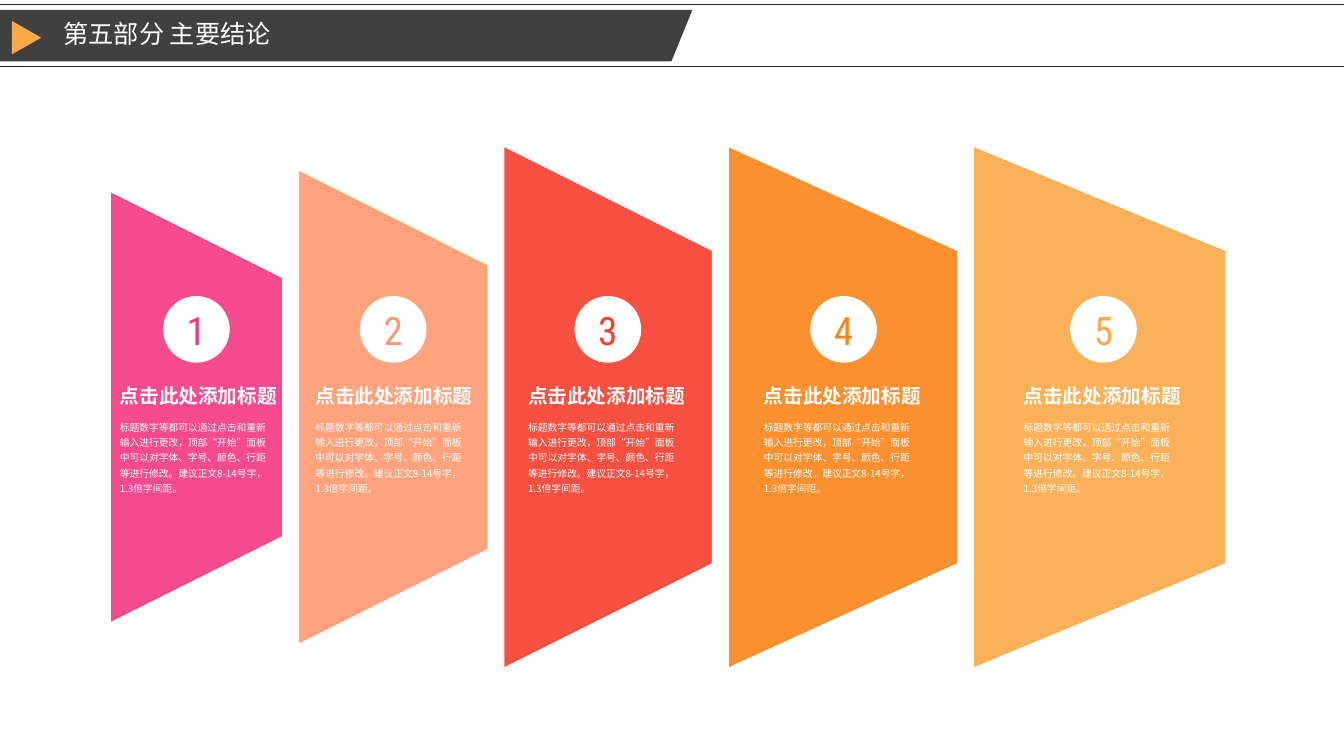
"""Build the conclusions slide with five numbered trapezoid panels."""
import dataclasses
import typing

import lxml.etree
import pptx
import pptx.dml.color
import pptx.enum.lang
import pptx.enum.shapes
import pptx.enum.text
import pptx.oxml.ns
import pptx.util

Cm = pptx.util.Cm
Shapes = pptx.enum.shapes.MSO_SHAPE
Align = pptx.enum.text.PP_ALIGN
Anchor = pptx.enum.text.MSO_ANCHOR

COLORS = {
    "pink": "F43781",
    "peach": "FF9972",
    "red": "F53E2E",
    "orange": "FB851B",
    "amber": "FAA949",
    "bar": "404040",
    "rule": "262626",
    "white": "FFFFFF",
}
LATIN_FONT = "Roboto Condensed"
CHINESE_FONT = "Noto Sans CJK SC"
HEADING = "点击此处添加标题"
BODY = (
    "标题数字等都可以通过点击和重新输入进行更改，顶部“开始”面板中可以对字体、字号、"
    "颜色、行距等进行修改。建议正文8-14号字，1.3倍字间距。"
)
SLIDE_WIDTH, SLIDE_HEIGHT = 33.87, 19.05
FIRST_LEFT, FIRST_WIDTH, FIRST_HEIGHT = 2.78, 4.35, 10.88
GROWTH, TALLEST, PANEL_GAP = 1.1, 13.16, 0.39
SHORT_SIDE_RATIO = 0.6
PANEL_MIDDLE, BADGE_MIDDLE, BADGE_SIZE = 10.26, 8.3, 1.68


@dataclasses.dataclass(frozen=True)
class Panel:
    color: str
    badge_center: float
    text_left: float


PANELS = [
    Panel("pink", 4.95, 2.77),
    Panel("peach", 9.91, 7.7),
    Panel("red", 15.32, 13.06),
    Panel("orange", 21.26, 19.0),
    Panel("amber", 27.81, 25.55),
]


def rgb(color: str) -> pptx.dml.color.RGBColor:
    return pptx.dml.color.RGBColor.from_string(COLORS[color])


def paint(shape: typing.Any, color: str) -> None:
    shape.shadow.inherit = False
    shape.fill.solid()
    shape.fill.fore_color.rgb = rgb(color)
    shape.line.fill.background()


def write(shape: typing.Any, text: str, *, size: float, color: str = "white",
          font: str = LATIN_FONT, bold: bool = False, spacing: float = 1.0,
          align: Align = Align.LEFT, anchor: Anchor = Anchor.TOP) -> None:
    frame = shape.text_frame
    frame.word_wrap = True
    frame.vertical_anchor = anchor
    para = frame.paragraphs[0]
    para.alignment = align
    para.line_spacing = spacing
    span = para.add_run()
    span.text = text
    span.font.size = pptx.util.Pt(size)
    span.font.bold = bold
    span.font.name = font
    span.font.color.rgb = rgb(color)
    span.font.language_id = pptx.enum.lang.MSO_LANGUAGE_ID.SIMPLIFIED_CHINESE
    properties = span.font._element
    lxml.etree.SubElement(properties, pptx.oxml.ns.qn("a:ea"), typeface=CHINESE_FONT)


def add_text(page: typing.Any, left: float, top: float, width: float, height: float,
             text: str, **style: typing.Any) -> None:
    box = page.shapes.add_textbox(Cm(left), Cm(top), Cm(width), Cm(height))
    write(box, text, **style)


def add_polygon(page: typing.Any, points: list[tuple[float, float]], color: str) -> typing.Any:
    corners = [(Cm(x), Cm(y)) for x, y in points]
    builder = page.shapes.build_freeform(*corners[0])
    builder.add_line_segments(corners[1:], close=True)
    polygon = builder.convert_to_shape()
    paint(polygon, color)
    return polygon


def add_rule(page: typing.Any, top: float) -> None:
    rule = page.shapes.add_connector(
        pptx.enum.shapes.MSO_CONNECTOR.STRAIGHT, 0, Cm(top), Cm(SLIDE_WIDTH), Cm(top))
    rule.line.color.rgb = rgb("rule")
    rule.line.width = pptx.util.Pt(0.5)
    lxml.etree.SubElement(rule._element.spPr, pptx.oxml.ns.qn("a:effectLst"))


def add_header(page: typing.Any) -> None:
    for top in (0.1, 1.68):
        add_rule(page, top)
    add_polygon(page, [(0, 0.25), (17.45, 0.25), (16.92, 1.55), (0, 1.55)], "bar")
    marker = page.shapes.add_shape(
        Shapes.ISOSCELES_TRIANGLE, Cm(0.25), Cm(0.58), Cm(0.84), Cm(0.74))
    marker.rotation = 90
    paint(marker, "amber")
    add_text(page, 1.35, 0.25, 15, 1.3, "第五部分 主要结论",
             size=18, spacing=0.9, anchor=Anchor.MIDDLE)


def add_panel(page: typing.Any, panel: Panel, left: float, width: float, height: float) -> None:
    right, half = left + width, height / 2
    short_half = half * SHORT_SIDE_RATIO
    trapezoid = add_polygon(page, [
        (left, PANEL_MIDDLE + half),
        (left, PANEL_MIDDLE - half),
        (right, PANEL_MIDDLE - short_half),
        (right, PANEL_MIDDLE + short_half),
    ], panel.color)
    trapezoid.line.color.rgb = rgb("white")
    trapezoid.line.width = pptx.util.Pt(1)
    fill_color = trapezoid._element.spPr.find(pptx.oxml.ns.qn("a:solidFill"))[0]
    lxml.etree.SubElement(fill_color, pptx.oxml.ns.qn("a:alpha"), val="90000")


def add_panel_text(page: typing.Any, number: int, panel: Panel) -> None:
    add_text(page, panel.text_left, 9.55, 4.52, 0.86, HEADING, size=14, bold=True)
    add_text(page, panel.text_left, 10.41, 4.35, 2.2, BODY,
             size=7, font=CHINESE_FONT, spacing=1.3)
    badge = page.shapes.add_shape(
        Shapes.OVAL, Cm(panel.badge_center - BADGE_SIZE / 2),
        Cm(BADGE_MIDDLE - BADGE_SIZE / 2), Cm(BADGE_SIZE), Cm(BADGE_SIZE))
    paint(badge, "white")
    frame = badge.text_frame
    frame.margin_left = frame.margin_right = frame.margin_top = frame.margin_bottom = 0
    write(badge, str(number), size=28, color=panel.color,
          align=Align.CENTER, anchor=Anchor.MIDDLE)


def main() -> None:
    deck = pptx.Presentation()
    deck.slide_width, deck.slide_height = Cm(SLIDE_WIDTH), Cm(SLIDE_HEIGHT)
    page = deck.slides.add_slide(deck.slide_layouts[6])
    add_header(page)
    left = FIRST_LEFT
    for index, panel in enumerate(PANELS):
        scale = GROWTH ** index
        width = FIRST_WIDTH * scale
        add_panel(page, panel, left, width, min(FIRST_HEIGHT * scale, TALLEST))
        add_panel_text(page, index + 1, panel)
        left += width + PANEL_GAP
    deck.save("out.pptx")


if __name__ == "__main__":
    main()
